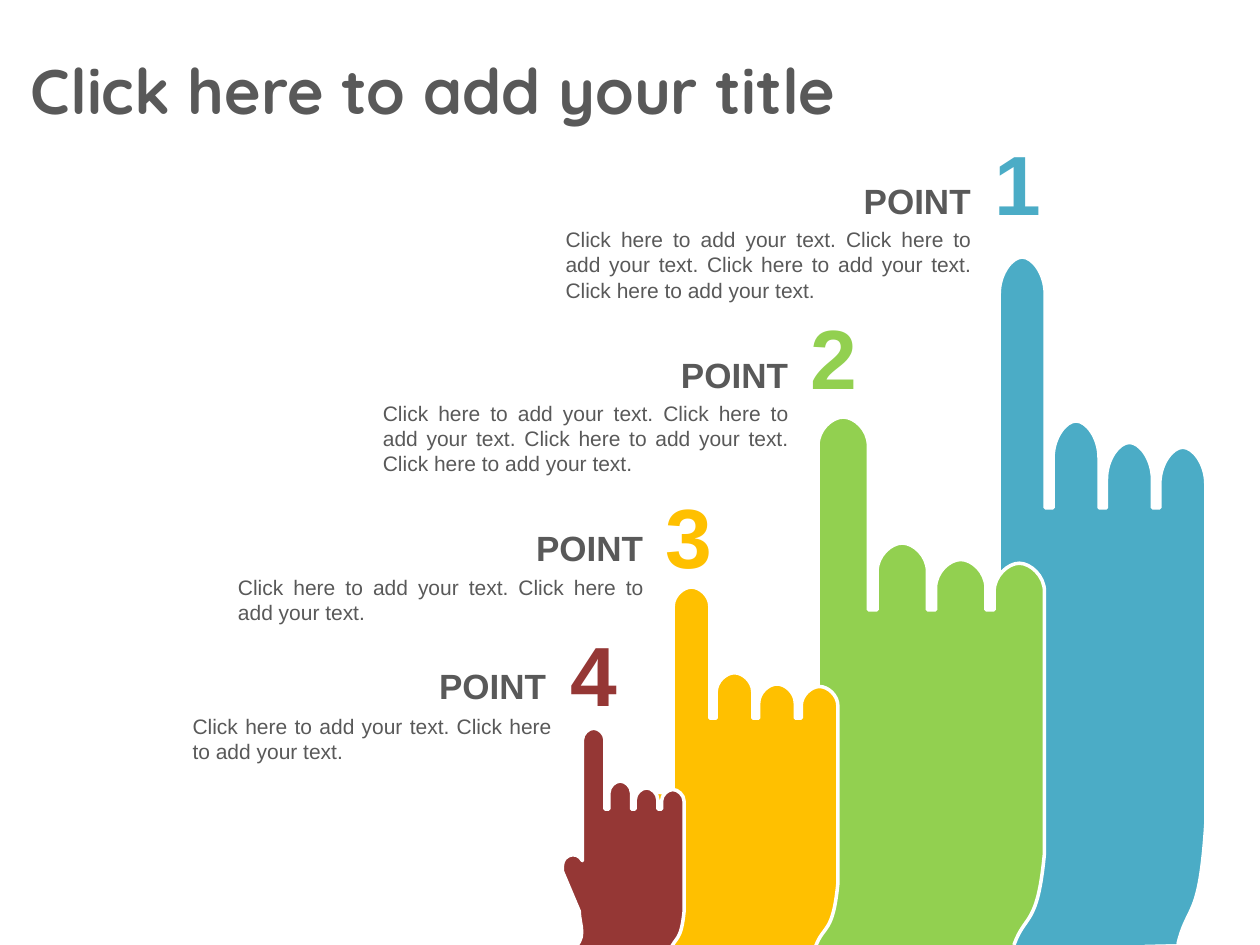
from pptx import Presentation, util as u
from pptx.dml import color
from pptx.enum import text
from pptx.oxml import ns, xmlchemy

GREY = "595959"
SENTENCE = "Click here to add your text."
ALIGN = text.PP_ALIGN

# Hand outline in percent of the hand's width and height.
# A segment of one point is a line, one of three points a Bezier curve.
START = (6.1, 100)
THUMB_SIDE = [
    [(22.3, 94.9), (14.2, 88.3), (14.2, 82)],
    [(0.4, 64.1)],
    [(0, 61.4), (0.5, 58.3), (5.6, 57.2)],
    [(9.6, 56.1), (14.7, 57), (16.8, 59.4)],
]
OUTER_SIDE = [[(100, 82)], [(97.5, 96), (92.9, 93.3), (88.8, 99.3)]]
FINGERS = [(16.8, 0), (38.5, 23.7), (60, 26.8), (81.5, 27.5)]  # left, tip
FINGER_WIDTH, TIP_HEIGHT, FINGER_BASE = 18.5, 5.3, 36.25

# colour, hand box, number position, label position, body box, sentences
POINTS = [
    ("4BACC6", (7.6, 2.04, 1.97, 5.49), (7.45, 1.15), (6.65, 1.44),
     (4.39, 1.75, 3.42, 0.77), 4),
    ("92D050", (6.13, 3.31, 2.16, 4.22), (5.99, 2.53), (5.2, 2.82),
     (2.94, 3.13, 3.42, 0.77), 4),
    ("FFC000", (5.08, 4.66, 1.57, 2.87), (4.84, 3.95), (4.05, 4.19),
     (1.79, 4.51, 3.42, 0.55), 2),
    ("953735", (4.46, 5.78, 0.97, 1.77), (4.08, 5.05), (3.28, 5.29),
     (1.43, 5.61, 3.05, 0.55), 2),
]


def rgb(value):
    return color.RGBColor.from_string(value)


def finger(left, tip):
    right, middle = left + FINGER_WIDTH, left + FINGER_WIDTH / 2
    knuckle = tip + TIP_HEIGHT
    bend_x, bend_y = FINGER_WIDTH * 0.225, TIP_HEIGHT * 0.45
    return [
        [(left, FINGER_BASE)],
        [(left, knuckle)],
        [(left, tip + bend_y), (middle - bend_x, tip), (middle, tip)],
        [(middle + bend_x, tip), (right, tip + bend_y), (right, knuckle)],
        [(right, FINGER_BASE)],
    ]


def hand_segments():
    fingers = [segment for place in FINGERS for segment in finger(*place)]
    return THUMB_SIDE + fingers + OUTER_SIDE


def bend(shape, segments):
    """Turn each run of three lines that stands for a curve into one curve."""
    lines = iter(list(shape.element.iter(ns.qn("a:lnTo"))))
    for segment in segments:
        group = [next(lines) for _ in segment]
        if len(group) == 3:
            bezier = xmlchemy.OxmlElement("a:cubicBezTo")
            group[0].addprevious(bezier)
            for line in group:
                bezier.append(line[0])
                line.getparent().remove(line)


def add_hand(slide, box, fill):
    left, top, width, height = box

    def place(point):
        x, y = point
        return u.Inches(left + x * width / 100), u.Inches(top + y * height / 100)

    segments = hand_segments()
    builder = slide.shapes.build_freeform(*place(START))
    builder.add_line_segments(
        [place(point) for segment in segments for point in segment], close=False)
    shape = builder.convert_to_shape()
    bend(shape, segments)
    shape.shadow.inherit = False
    shape.fill.solid()
    shape.fill.fore_color.rgb = rgb(fill)
    shape.line.color.rgb = rgb("FFFFFF")
    shape.line.width = u.Pt(2)


def write(shape, content, size, fill, align, font="Arial", bold=False, spacing=None):
    paragraph = shape.text_frame.paragraphs[0]
    paragraph.alignment = align
    paragraph.line_spacing = spacing
    run = paragraph.add_run()
    run.text = content
    run.font.name = font
    run.font.size = u.Pt(size)
    run.font.bold = bold
    run.font.color.rgb = rgb(fill)


def add_text(slide, box, *content, **style):
    shape = slide.shapes.add_textbox(*map(u.Inches, box))
    shape.text_frame.word_wrap = True
    shape.text_frame.auto_size = text.MSO_AUTO_SIZE.SHAPE_TO_FIT_TEXT
    write(shape, *content, **style)


def add_title(slide, content):
    title = slide.shapes.title
    title.left, title.top, title.width, title.height = map(
        u.Inches, (-0.04, 0.36, 6.77, 0.71))
    title.text_frame.auto_size = text.MSO_AUTO_SIZE.NONE
    title.text_frame.vertical_anchor = text.MSO_ANCHOR.TOP
    write(title, content, 36, GREY, ALIGN.RIGHT, font="Quicksand", bold=True)


def main():
    presentation = Presentation()
    presentation.slide_width, presentation.slide_height = u.Inches(10), u.Inches(7.5)
    slide = presentation.slides.add_slide(presentation.slide_layouts[5])
    add_title(slide, "Click here to add your title")
    for fill, hand, *_ in POINTS:
        add_hand(slide, hand, fill)
    for number, (fill, _, digit, label, body, count) in enumerate(POINTS, 1):
        add_text(slide, (*digit, 1.26, 0.82), str(number), 48, fill, ALIGN.CENTER,
                 bold=True, spacing=0.8)
        add_text(slide, (*label, 1.26, 0.41), "POINT", 20, GREY, ALIGN.CENTER,
                 bold=True, spacing=0.8)
        add_text(slide, body, " ".join([SENTENCE] * count), 12, GREY, ALIGN.JUSTIFY)
    presentation.save("out.pptx")


if __name__ == "__main__":
    main()
